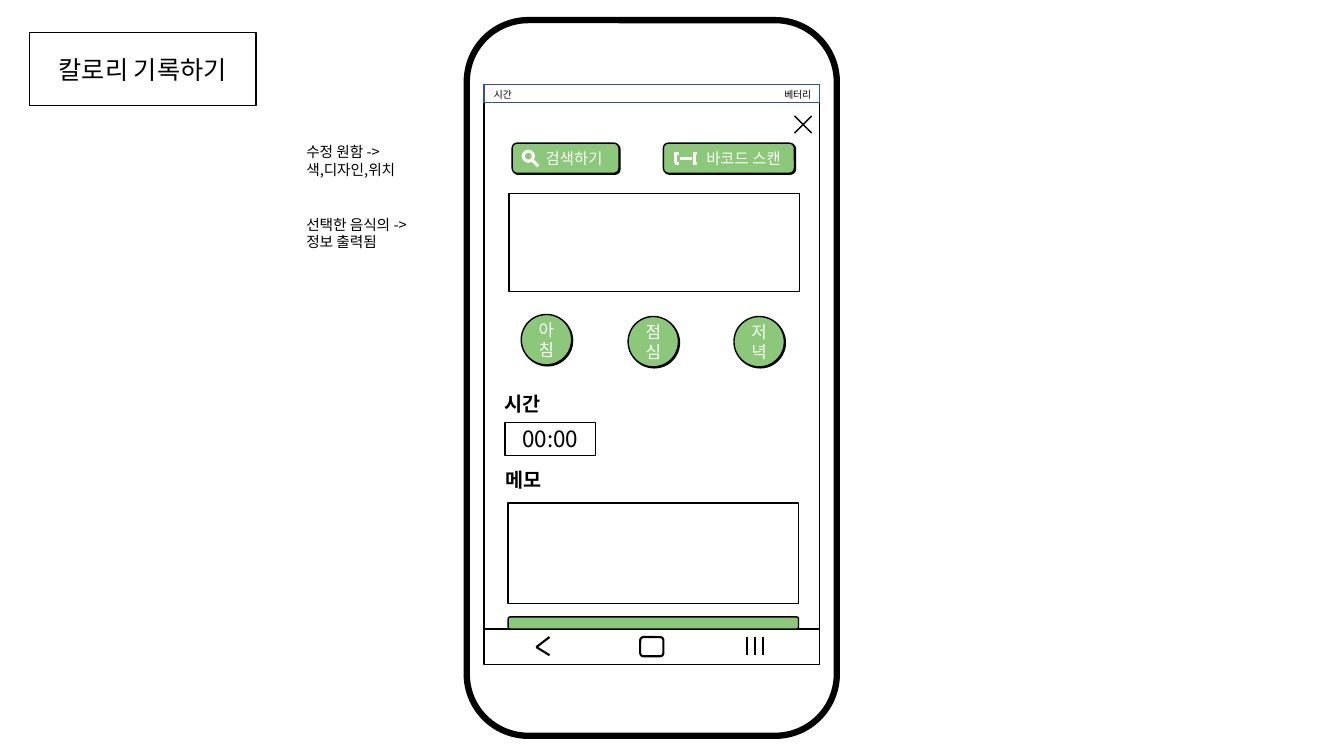
from dataclasses import dataclass

import pptx
import pptx.dml.color
import pptx.enum.shapes
import pptx.enum.text
import pptx.oxml.ns
import pptx.util
from lxml import etree
from pptx.util import Inches

Shape = pptx.enum.shapes.MSO_SHAPE
Align = pptx.enum.text.PP_ALIGN
Anchor = pptx.enum.text.MSO_ANCHOR
qn = pptx.oxml.ns.qn


@dataclass(frozen=True)
class Theme:
    font: str = "Noto Sans CJK KR"
    black: str = "000000"
    white: str = "FFFFFF"
    green: str = "8BC87A"
    blue: str = "325491"
    status: float = 7
    note: float = 10.5
    button: float = 11
    meal: float = 12
    heading: float = 14
    time: float = 16
    title: float = 18
    thin: float = 1
    nav: float = 1.5
    icon: float = 2.25
    phone: float = 4.5


THEME = Theme()


def rgb(color):
    return pptx.dml.color.RGBColor.from_string(color)


def write(frame, lines, size, color=THEME.black, align=Align.LEFT, bold=False):
    frame.word_wrap = True
    frame.text = "\n".join(lines)
    for paragraph in frame.paragraphs:
        paragraph.alignment = align
        font = paragraph.font
        font.size = pptx.util.Pt(size)
        font.bold = bold
        font.color.rgb = rgb(color)
        font.name = THEME.font
        # Hangul takes the East Asian typeface
        defaults = paragraph._p.pPr.find(qn("a:defRPr"))
        etree.SubElement(defaults, qn("a:ea"), typeface=THEME.font)


def paint(shape, fill, line, width):
    if fill:
        shape.fill.solid()
        shape.fill.fore_color.rgb = rgb(fill)
    else:
        shape.fill.background()
    shape.line.color.rgb = rgb(line)
    shape.line.width = pptx.util.Pt(width)


def add_box(slide, kind, box, fill=THEME.white, line=THEME.black, width=THEME.thin):
    shape = slide.shapes.add_shape(kind, *map(Inches, box))
    shape.shadow.inherit = False
    paint(shape, fill, line, width)
    return shape


def add_green(slide, kind, box, label, size, angle=45, indent=None):
    """Green control with a hard drop shadow; indent leaves room for an icon."""
    control = add_box(slide, kind, box, THEME.green)
    effects = control._element.spPr.find(qn("a:effectLst"))
    shadow = etree.SubElement(effects, qn("a:outerShdw"), blurRad="0", dist="12700",
                              dir=str(angle * 60000), algn="tl", rotWithShape="0")
    etree.SubElement(shadow, qn("a:srgbClr"), val=THEME.black)
    frame = control.text_frame
    frame.vertical_anchor = Anchor.MIDDLE
    if indent is not None:
        frame.margin_left, frame.margin_right = Inches(indent), 0
    write(frame, [label], size, THEME.white, Align.CENTER)


def add_text(slide, box, lines, size, bold=False):
    frame = slide.shapes.add_textbox(*map(Inches, box)).text_frame
    write(frame, lines, size, bold=bold)
    frame.auto_size = pptx.enum.text.MSO_AUTO_SIZE.SHAPE_TO_FIT_TEXT


def add_line(slide, x1, y1, x2, y2, width, color=THEME.black):
    line = slide.shapes.add_connector(
        pptx.enum.shapes.MSO_CONNECTOR.STRAIGHT, *map(Inches, (x1, y1, x2, y2)))
    line.line.color.rgb = rgb(color)
    line.line.width = pptx.util.Pt(width)
    etree.SubElement(line._element.spPr, qn("a:effectLst"))


def add_title(slide):
    title = slide.shapes.title
    title.left, title.top, title.width, title.height = map(Inches, (0.29, 0.32, 2.25, 0.73))
    paint(title, THEME.white, THEME.black, THEME.thin)
    title.text_frame.vertical_anchor = Anchor.MIDDLE
    write(title.text_frame, ["칼로리 기록하기"], THEME.title, align=Align.CENTER)


def add_phone(slide):
    add_box(slide, Shape.ROUNDED_RECTANGLE, (4.63, 0.2, 3.67, 7.1), width=THEME.phone)
    add_box(slide, Shape.RECTANGLE, (4.8, 0.84, 3.33, 5.74))
    # Status bar
    add_box(slide, Shape.RECTANGLE, (4.8, 0.84, 3.33, 0.18), line=THEME.blue)
    for left, label in ((4.8, "시간"), (7.68, "베터리")):
        add_text(slide, (left, 0.83, 0.52, 0.22), [label], THEME.status)


def add_navigation(slide):
    top, middle, bottom = 6.32, 6.42, 6.5
    add_box(slide, Shape.RECTANGLE, (4.8, 6.24, 3.33, 0.35))
    for y in (top, bottom):
        add_line(slide, 5.45, y, 5.32, middle, THEME.nav)
    add_box(slide, Shape.ROUNDED_RECTANGLE, (6.35, top, 0.23, 0.19), width=THEME.nav)
    for i in range(3):
        x = 7.41 + 0.08 * i
        add_line(slide, x, top, x, bottom, THEME.nav)


def add_close_icon(slide):
    for start, end in ((7.88, 8.05), (8.05, 7.88)):
        add_line(slide, start, 1.15, end, 1.32, THEME.thin)


def add_search_icon(slide):
    add_box(slide, Shape.OVAL, (5.19, 1.5, 0.1, 0.1), None, THEME.white, THEME.icon)
    add_line(slide, 5.28, 1.59, 5.34, 1.65, THEME.icon, THEME.white)


def add_barcode_icon(slide):
    # Two brackets, each with a stem and two arms, and a scan bar between
    for stem, outer, inner in ((6.7, 6.69, 6.73), (6.89, 6.91, 6.87)):
        add_line(slide, stem, 1.51, stem, 1.62, THEME.icon, THEME.white)
        for y in (1.52, 1.62):
            add_line(slide, outer, y, inner, y, THEME.icon, THEME.white)
    add_line(slide, 6.74, 1.57, 6.86, 1.57, THEME.icon, THEME.white)


def add_entry_form(slide):
    # Search and scan buttons
    add_green(slide, Shape.ROUNDED_RECTANGLE, (6.58, 1.42, 1.3, 0.3), "바코드 스캔",
              THEME.button, angle=38, indent=0.29)
    add_green(slide, Shape.ROUNDED_RECTANGLE, (5.08, 1.42, 1.06, 0.3), "검색하기",
              THEME.button, indent=0.17)
    add_search_icon(slide)
    add_barcode_icon(slide)
    # Chosen food
    add_box(slide, Shape.RECTANGLE, (5.05, 1.92, 2.88, 0.97))
    # Meals
    for left, top, meal in ((5.17, 3.12, "아침"), (6.23, 3.14, "점심"), (7.28, 3.14, "저녁")):
        add_green(slide, Shape.OVAL, (left, top, 0.5, 0.5), meal, THEME.meal)
    # Time and memo
    for left, top, heading in ((4.91, 3.84, "시간"), (4.92, 4.59, "메모")):
        add_text(slide, (left, top, 0.76, 0.34), [heading], THEME.heading, bold=True)
    time = add_box(slide, Shape.RECTANGLE, (5.01, 4.19, 0.9, 0.33)).text_frame
    time.vertical_anchor = Anchor.MIDDLE
    write(time, ["00:00"], THEME.time, align=Align.CENTER)
    add_box(slide, Shape.RECTANGLE, (5.04, 4.99, 2.88, 1))
    # Save bar cut off by the navigation bar
    add_box(slide, Shape.ROUNDED_RECTANGLE, (5.04, 6.12, 2.88, 0.12), THEME.green)


def add_notes_beside_phone(slide):
    add_text(slide, (2.94, 1.37, 1.2, 0.45), ["수정 원함 ->", "색,디자인,위치"], THEME.note)
    add_text(slide, (2.94, 2.09, 1.44, 0.45), ["선택한 음식의 ->", "정보 출력됨"], THEME.note)


def main():
    deck = pptx.Presentation()
    deck.slide_width, deck.slide_height = Inches(13.33), Inches(7.5)
    slide = deck.slides.add_slide(deck.slide_layouts[5])
    add_title(slide)
    add_phone(slide)
    add_navigation(slide)
    add_close_icon(slide)
    add_entry_form(slide)
    add_notes_beside_phone(slide)
    deck.save("out.pptx")


if __name__ == "__main__":
    main()
